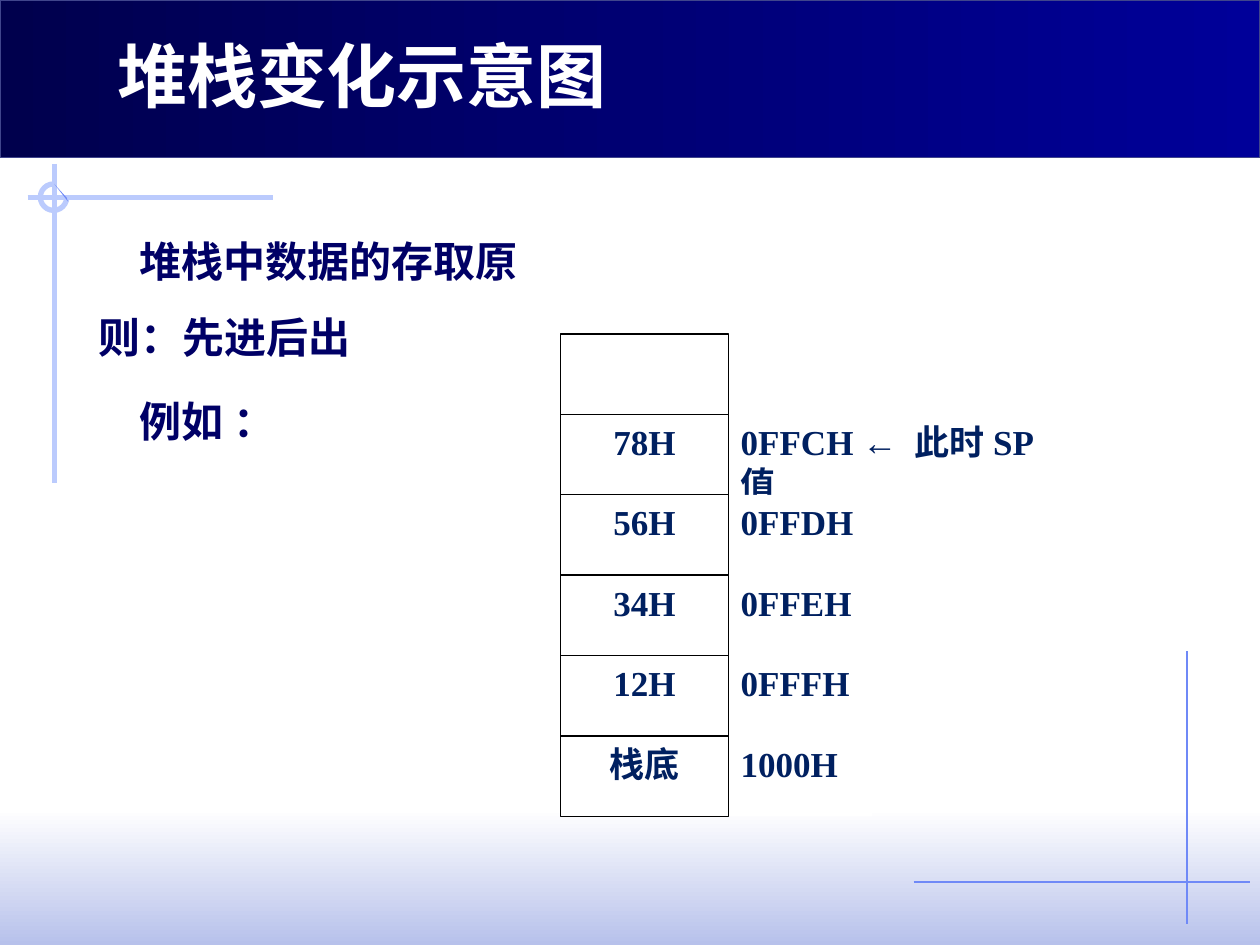
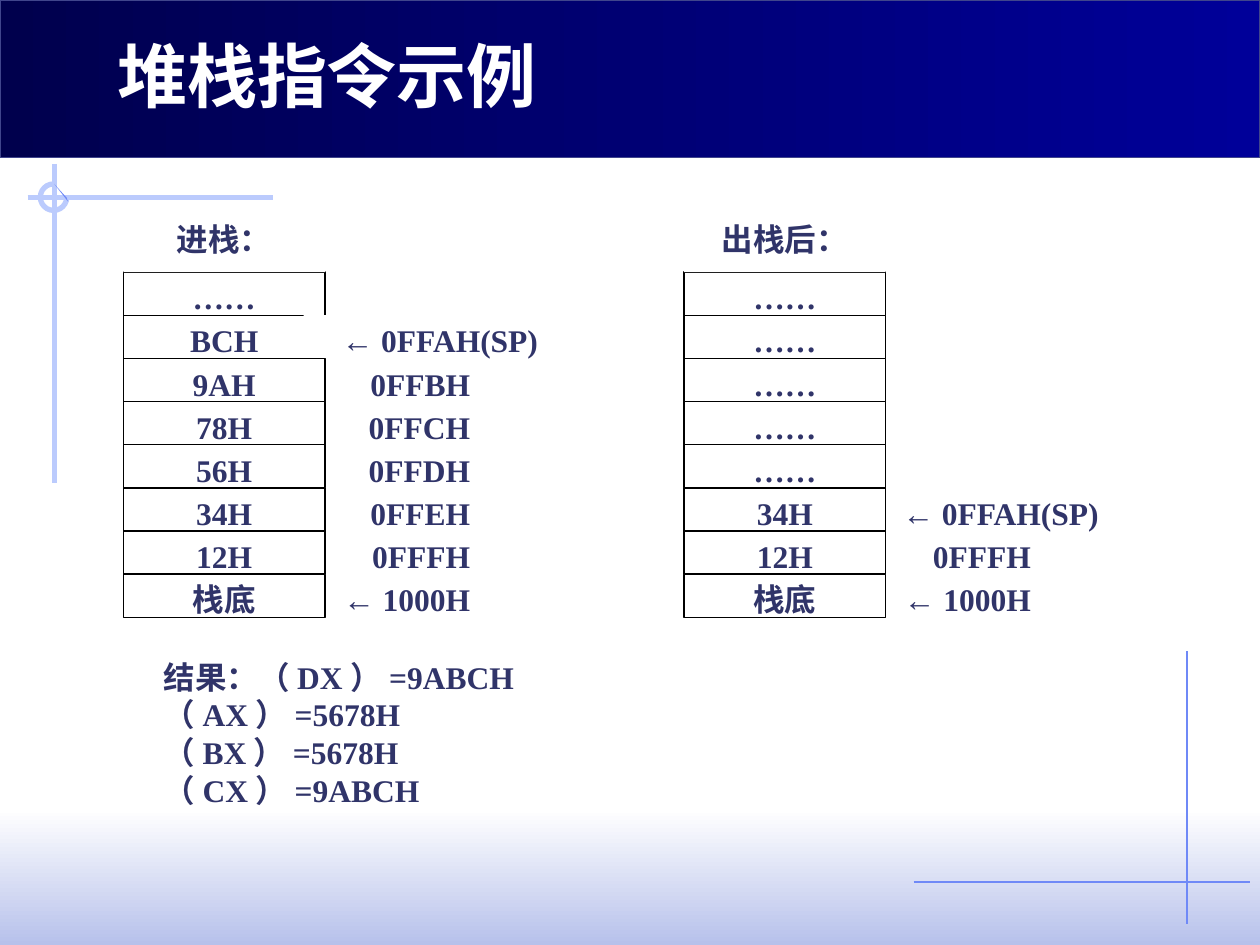
from dataclasses import dataclass
from typing import Any

from lxml.etree import SubElement
from pptx import Presentation
from pptx.dml.color import RGBColor
from pptx.enum.shapes import MSO_CONNECTOR, MSO_SHAPE
from pptx.enum.text import MSO_ANCHOR, MSO_AUTO_SIZE, PP_ALIGN
from pptx.oxml.ns import qn
from pptx.util import Inches, Pt

COLORS = {
    "white": "FFFFFF",
    "black": "000000",
    "band_start": "00004D",
    "band_end": "000099",
    "band_edge": "40458C",
    "floor": "B7C1EB",
    "crosshair": "BBCBFD",
    "thin_rule": "6F89F7",
    "body": "000066",
    "stack": "002060",
    "example": "303469",
}
CJK = "Noto Sans CJK SC"
TITLE_CJK = "Noto Sans CJK JP"
LATIN = "Times New Roman"
FRAME_FORMAT = {
    "word_wrap": True,
    "auto_size": MSO_AUTO_SIZE.NONE,
    "vertical_anchor": MSO_ANCHOR.TOP,
    "margin_left": Inches(0.1),
    "margin_right": Inches(0.1),
    "margin_top": Inches(0.05),
    "margin_bottom": Inches(0.05),
}


@dataclass(frozen=True)
class Rule:
    start: tuple[float, float]
    end: tuple[float, float]
    color: str
    weight: float


@dataclass(frozen=True)
class Box:
    left: float
    top: float
    width: float
    height: float


@dataclass(frozen=True)
class Stack:
    left: float
    top: float
    bottom: float
    cell_width: float
    address_left: float
    address_width: float
    pointer_width: float
    rows: tuple[tuple[str, str], ...]
    size: int
    color: str
    address_align: PP_ALIGN
    heading: str = ""
    covered_rows: int = 0


RULES = (
    Rule((9.42, 5.17), (9.42, 7.33), "thin_rule", 0.75),
    Rule((0.22, 1.57), (2.17, 1.57), "crosshair", 3),
    Rule((0.43, 1.3), (0.43, 3.83), "crosshair", 3),
    Rule((7.25, 7), (9.92, 7), "thin_rule", 0.75),
)
CHANGE_STACK = Stack(
    4.45, 2.65, 6.48, 1.33, 5.78, 1.14, 2.85,
    (("", ""), ("78H", "0FFCH ← 此时SP值"), ("56H", "0FFDH"), ("34H", "0FFEH"),
     ("12H", "0FFFH"), ("栈底", "1000H")),
    20, "stack", PP_ALIGN.LEFT,
)
EXAMPLE_TAIL = (("12H", "0FFFH"), ("栈底", "← 1000H"))
PUSHED_STACK = Stack(
    0.98, 2.16, 4.9, 1.6, 2.41, 1.42, 1.96,
    (("……", ""), ("BCH", "← 0FFAH(SP)"), ("9AH", "0FFBH"), ("78H", "0FFCH"),
     ("56H", "0FFDH"), ("34H", "0FFEH")) + EXAMPLE_TAIL,
    18, "example", PP_ALIGN.RIGHT, "进栈：", 2,
)
POPPED_STACK = Stack(
    5.43, 2.16, 4.9, 1.6, 6.86, 1.42, 1.96,
    (("……", ""),) * 5 + (("34H", "← 0FFAH(SP)"),) + EXAMPLE_TAIL,
    18, "example", PP_ALIGN.RIGHT, "出栈后：",
)
RESULTS = (("结果：（", "DX", "=9ABCH"), ("（", "AX", "=5678H"),
           ("（", "BX", "=5678H"), ("（", "CX", "=9ABCH"))


def rgb(name: str) -> RGBColor:
    return RGBColor.from_string(COLORS[name])


def inches(box: Box) -> tuple[int, ...]:
    return tuple(Inches(n) for n in (box.left, box.top, box.width, box.height))


def apply_format(target: Any, values: dict[str, Any]) -> None:
    for attribute, value in values.items():
        setattr(target, attribute, value)


def add_run(paragraph: Any, text: str, size: int, color: str,
            latin: str, east_asian: str = CJK) -> None:
    run = paragraph.add_run()
    run.text = text
    apply_format(run.font, {"name": latin, "size": Pt(size), "bold": True})
    run.font.color.rgb = rgb(color)
    SubElement(run.font._element, qn("a:ea"), typeface=east_asian)


def add_panel(slide: Any, box: Box, preset: MSO_SHAPE = MSO_SHAPE.RECTANGLE,
              fill: str = "", edge: str = "", weight: float = 0.75) -> Any:
    panel = slide.shapes.add_shape(preset, *inches(box))
    panel.shadow.inherit = False
    if fill:
        panel.fill.solid()
        panel.fill.fore_color.rgb = rgb(fill)
    else:
        panel.fill.background()
    if edge:
        panel.line.color.rgb = rgb(edge)
        panel.line.width = Pt(weight)
    else:
        panel.line.fill.background()
    return panel


def add_gradient(panel: Any, start: str, end: str, angle: float) -> None:
    panel.fill.gradient()
    panel.fill.gradient_angle = angle
    for stop, color in zip(panel.fill.gradient_stops, (start, end)):
        stop.color.rgb = rgb(color)


def add_rule(slide: Any, rule: Rule) -> Any:
    points = (Inches(n) for n in rule.start + rule.end)
    line = slide.shapes.add_connector(MSO_CONNECTOR.STRAIGHT, *points)
    line.line.color.rgb = rgb(rule.color)
    line.line.width = Pt(rule.weight)
    SubElement(line.element.spPr, qn("a:effectLst"))
    return line


def add_decoration(slide: Any) -> None:
    floor = add_panel(slide, Box(0, 6.42, 10, 1.08))
    add_gradient(floor, "white", "floor", 270)
    rules = [add_rule(slide, rule) for rule in RULES]
    ring = add_panel(slide, Box(0.32, 1.46, 0.21, 0.21), MSO_SHAPE.ARC,
                     edge="crosshair", weight=3)
    ring.adjustments[0] = 0
    ring.adjustments[1] = 162
    outline = slide.shapes.build_freeform(Inches(0.43), Inches(1.46))
    outline.add_line_segments([(Inches(0.53), Inches(1.57)), (Inches(0.54), Inches(1.6))])
    sliver = outline.convert_to_shape()
    sliver.shadow.inherit = False
    sliver.fill.solid()
    sliver.fill.fore_color.rgb = rgb("thin_rule")
    sliver.line.fill.background()
    band = add_panel(slide, Box(0, 0, 10, 1.25), edge="band_edge")
    add_gradient(band, "band_start", "band_end", 0)
    layout_tree = slide.slide_layout.shapes.element
    for index, part in enumerate((floor, *rules, ring, sliver, band)):
        part.element.xpath(".//p:cNvPr")[0].set("id", str(100 + index))
        layout_tree.insert(2 + index, part.element)


def set_title(slide: Any, text: str) -> None:
    title = slide.shapes.title
    apply_format(title, dict(zip(("left", "top", "width", "height"),
                                 inches(Box(0.83, 0.21, 7.95, 0.77)))))
    apply_format(title.text_frame, FRAME_FORMAT)
    paragraph = title.text_frame.paragraphs[0]
    paragraph.alignment = PP_ALIGN.LEFT
    add_run(paragraph, text, 40, "white", TITLE_CJK, TITLE_CJK)


def add_label(slide: Any, stack: Stack, box: Box, text: str,
              align: PP_ALIGN, edge: str = "") -> None:
    label = add_panel(slide, box, fill="white", edge=edge)
    apply_format(label.text_frame, FRAME_FORMAT)
    if text:
        paragraph = label.text_frame.paragraphs[0]
        paragraph.alignment = align
        add_run(paragraph, text, stack.size, stack.color, LATIN)


def draw_stack(slide: Any, stack: Stack) -> None:
    pitch = (stack.bottom - stack.top) / len(stack.rows)
    tops = [stack.top + index * pitch for index in range(len(stack.rows))]
    placed = list(zip(tops, stack.rows))

    def draw_cells(rows: list) -> None:
        for top, (value, _) in rows:
            add_label(slide, stack, Box(stack.left, top, stack.cell_width, pitch),
                      value, PP_ALIGN.CENTER, "black")

    draw_cells(placed[:stack.covered_rows])
    for top, (_, address) in placed:
        if address:
            width = stack.pointer_width if "SP" in address else stack.address_width
            add_label(slide, stack, Box(stack.address_left, top, width, pitch),
                      address, stack.address_align)
    draw_cells(placed[stack.covered_rows:])
    if stack.heading:
        add_label(slide, stack, Box(stack.left, stack.top - 0.46, stack.cell_width, 0.46),
                  stack.heading, PP_ALIGN.CENTER)


def add_paragraphs(slide: Any, box: Box, count: int, margin: float, indent: float) -> list:
    frame = slide.shapes.add_textbox(*inches(box)).text_frame
    apply_format(frame, FRAME_FORMAT)
    paragraphs = [frame.paragraphs[0]] + [frame.add_paragraph() for _ in range(count - 1)]
    for paragraph in paragraphs:
        properties = paragraph._p.get_or_add_pPr()
        properties.set("marL", str(Inches(margin)))
        properties.set("indent", str(Inches(indent)))
    return paragraphs


def add_principle(slide: Any) -> None:
    lines = ("堆栈中数据的存取原则：先进后出", "例如 ：")
    paragraphs = add_paragraphs(slide, Box(0.59, 1.62, 3.76, 4.92), len(lines), 0.09, 0.33)
    for paragraph, line in zip(paragraphs, lines):
        apply_format(paragraph, {"line_spacing": 1.5, "space_before": Pt(5)})
        add_run(paragraph, line, 24, "body", CJK)


def add_results(slide: Any) -> None:
    paragraphs = add_paragraphs(slide, Box(0.83, 5.17, 5.56, 1.31), len(RESULTS), 0, 0.37)
    for paragraph, (opening, register, value) in zip(paragraphs, RESULTS):
        for text, font in ((opening, CJK), (register, LATIN), ("）", CJK), (value, LATIN)):
            add_run(paragraph, text, 18, "example", font)


def main() -> None:
    presentation = Presentation()
    presentation.slide_width = Inches(10)
    presentation.slide_height = Inches(7.5)
    title_only = presentation.slide_layouts[5]

    change = presentation.slides.add_slide(title_only)
    add_decoration(change)
    set_title(change, "堆栈变化示意图")
    add_principle(change)
    draw_stack(change, CHANGE_STACK)

    example = presentation.slides.add_slide(title_only)
    set_title(example, "堆栈指令示例")
    draw_stack(example, PUSHED_STACK)
    draw_stack(example, POPPED_STACK)
    add_results(example)

    presentation.save("out.pptx")


if __name__ == "__main__":
    main()
